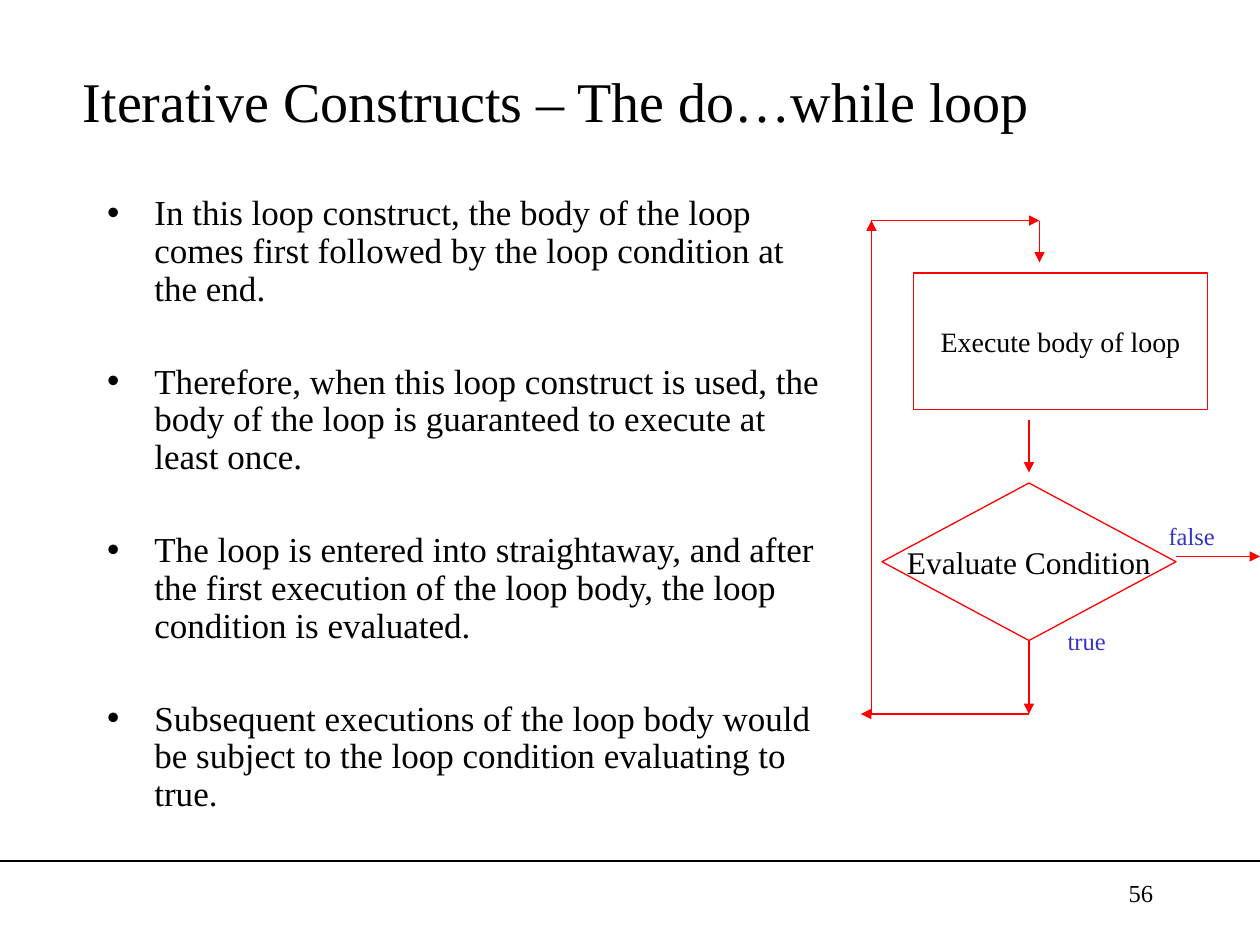
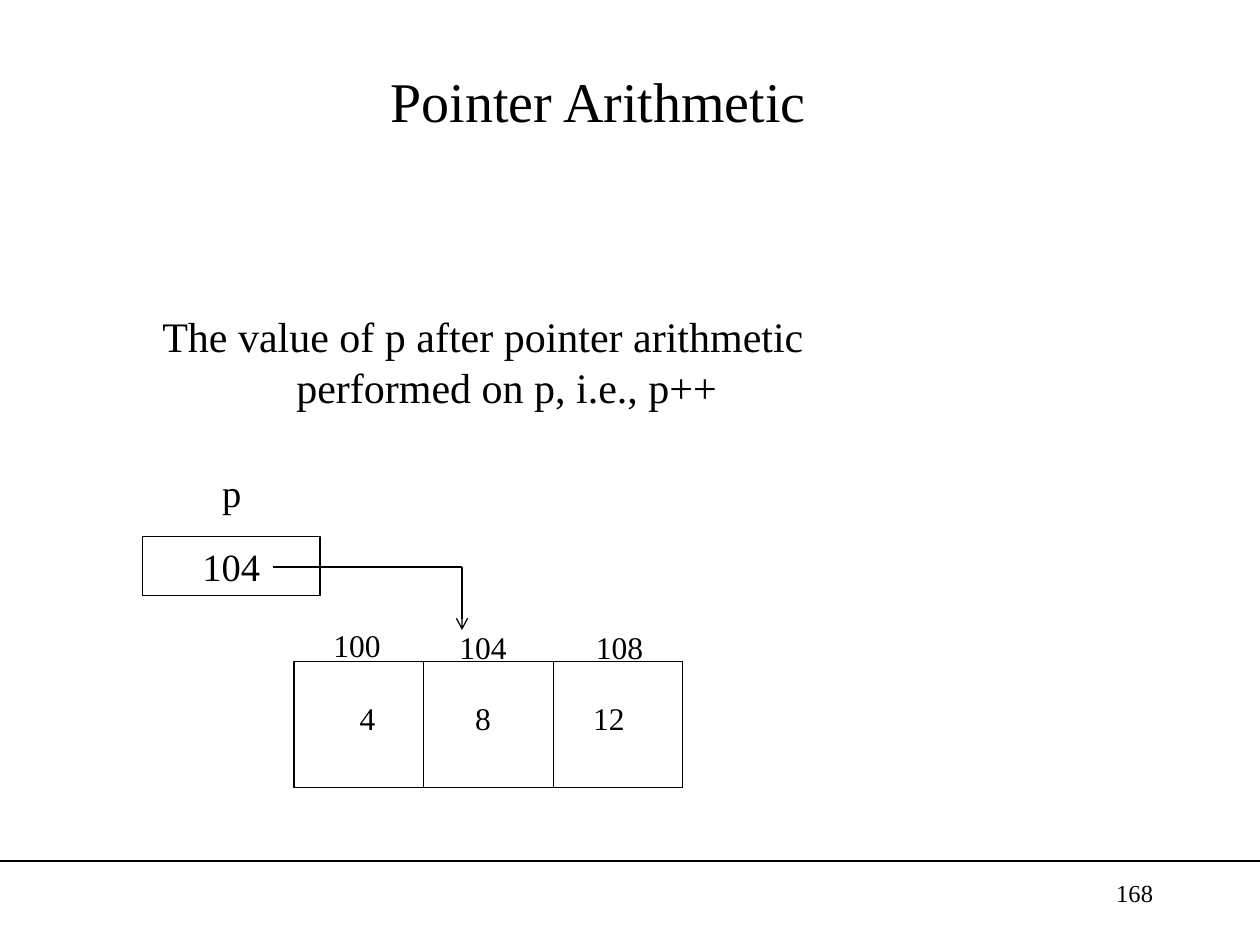
from dataclasses import dataclass

import lxml.etree
import pptx
import pptx.dml.color
import pptx.enum.shapes
import pptx.enum.text
import pptx.oxml.ns
import pptx.util

Pt = pptx.util.Pt
BLACK = pptx.dml.color.RGBColor(0x00, 0x00, 0x00)
RED = pptx.dml.color.RGBColor(0xFF, 0x00, 0x00)
BLUE = pptx.dml.color.RGBColor(0x33, 0x33, 0xCC)
FONT = "Times New Roman"
ALIGN = pptx.enum.text.PP_ALIGN
ANCHOR = pptx.enum.text.MSO_ANCHOR
SHAPES = pptx.enum.shapes.MSO_SHAPE
TITLE_AND_BODY, TITLE_ONLY = 1, 5


@dataclass
class Area:
    left: float
    top: float
    width: float
    height: float

    def lengths(self) -> tuple:
        return Pt(self.left), Pt(self.top), Pt(self.width), Pt(self.height)


@dataclass
class Label:
    text: str
    area: Area
    size: float = 18
    color: pptx.dml.color.RGBColor = BLACK
    anchor: ANCHOR = ANCHOR.MIDDLE
    align: ALIGN = ALIGN.CENTER
    wrap: bool = True


@dataclass
class Node:
    label: Label
    kind: SHAPES
    line_color: pptx.dml.color.RGBColor


@dataclass
class Arrow:
    start: tuple[float, float]
    end: tuple[float, float]
    color: pptx.dml.color.RGBColor = RED
    head: str = "triangle"


def add_child(parent, tag: str, **attributes: str):
    child = lxml.etree.SubElement(parent, pptx.oxml.ns.qn(tag))
    for name, value in attributes.items():
        child.set(name, value)
    return child


def write(para, text: str, size: float, color=BLACK) -> None:
    span = para.add_run()
    span.text = text
    span.font.size = Pt(size)
    span.font.name = FONT
    span.font.color.rgb = color


def fill_label(box, label: Label):
    frame = box.text_frame
    frame.word_wrap = label.wrap
    frame.vertical_anchor = label.anchor
    para = frame.paragraphs[0]
    para.alignment = label.align
    write(para, label.text, label.size, label.color)
    return para


def draw_label(page, label: Label):
    return fill_label(page.shapes.add_textbox(*label.area.lengths()), label)


def draw_node(page, node: Node):
    box = page.shapes.add_shape(node.kind, *node.label.area.lengths())
    box.shadow.inherit = False
    box.fill.background()
    box.line.color.rgb = node.line_color
    box.line.width = Pt(0.75)
    fill_label(box, node.label)
    return box


def draw_arrow(page, arrow: Arrow):
    line = page.shapes.add_connector(
        pptx.enum.shapes.MSO_CONNECTOR.STRAIGHT,
        *(Pt(value) for value in arrow.start + arrow.end),
    )
    line.line.color.rgb = arrow.color
    line.line.width = Pt(0.75)
    properties = line.element.spPr
    if arrow.head:
        add_child(properties.find(pptx.oxml.ns.qn("a:ln")), "a:tailEnd", type=arrow.head)
    add_child(properties, "a:effectLst")
    return line


def place(box, area: Area):
    box.left, box.top, box.width, box.height = area.lengths()
    frame = box.text_frame
    frame.auto_size = pptx.enum.text.MSO_AUTO_SIZE.NONE
    return frame


def add_page(deck, layout: int, title: str, title_left: float, number: int):
    page = deck.slides.add_slide(deck.slide_layouts[layout])
    frame = place(page.shapes.title, Area(title_left, 18, 612, 78))
    frame.vertical_anchor = ANCHOR.MIDDLE
    frame.paragraphs[0].alignment = ALIGN.CENTER
    write(frame.paragraphs[0], title, 32)
    draw_label(page, Label(str(number), Area(516, 498, 150, 36), 14,
                           anchor=ANCHOR.TOP, align=ALIGN.RIGHT))
    return page


def add_footer_rule(deck, page) -> None:
    rule = draw_arrow(page, Arrow((0, 492), (720, 492), BLACK, ""))
    deck.slide_master.shapes.element.append(rule.element)


def write_bullets(page, area: Area, points: list[str]) -> None:
    frame = place(page.placeholders[1], area)
    for index, point in enumerate(points):
        para = frame.add_paragraph() if index else frame.paragraphs[0]
        para.line_spacing = 0.9
        para.space_before = Pt(31.5 if index else 0)
        write(para, point, 20)


def build_loop_page(deck) -> None:
    page = add_page(deck, TITLE_AND_BODY, "Iterative Constructs – The do…while loop", 12, 56)
    add_footer_rule(deck, page)
    write_bullets(page, Area(54, 108, 426, 372), [
        "In this loop construct, the body of the loop comes first followed by "
        "the loop condition at the end.",
        "Therefore, when this loop construct is used, the body of the loop is "
        "guaranteed to execute at least once.",
        "The loop is entered into straightaway, and after the first execution "
        "of the loop body, the loop condition is evaluated.",
        "Subsequent executions of the loop body would be subject to the loop "
        "condition evaluating to true.",
    ])
    condition = draw_node(page, Node(
        Label("Evaluate Condition", Area(504, 276, 168, 90), wrap=False), SHAPES.DIAMOND, RED))
    draw_node(page, Node(
        Label("Execute body of loop", Area(522, 156, 168, 78), 16, wrap=False),
        SHAPES.RECTANGLE, RED))

    center, entry, back, top, bottom = 588, 594, 498, 126, 408
    true_branch = draw_arrow(page, Arrow((center, 366), (center, bottom)))
    true_branch.begin_connect(condition, 2)
    for arrow in (
        Arrow((center, 240), (center, 270)),
        Arrow((entry, top), (entry, 150)),
        Arrow((center, bottom), (back - 6, bottom)),
        Arrow((back, bottom), (back, top)),
        Arrow((back, top), (entry, top)),
        Arrow((672, 318), (720, 318)),
    ):
        draw_arrow(page, arrow)
    for text, left, label_top in (("true", 588, 354), ("false", 648, 294)):
        draw_label(page, Label(text, Area(left, label_top, 66, 24.5), 14, BLUE, ANCHOR.TOP))


def set_borders(cell, left: float, right: float, top: float, bottom: float) -> None:
    properties = cell._tc.get_or_add_tcPr()
    sides = zip(("a:lnL", "a:lnR", "a:lnT", "a:lnB"), (left, right, top, bottom))
    for index, (tag, width) in enumerate(sides):
        border = add_child(properties, tag, w=str(Pt(width)))
        add_child(add_child(border, "a:solidFill"), "a:srgbClr", val=str(BLACK))
        properties.insert(index, border)


def draw_array(page, area: Area, count: int) -> None:
    table = page.shapes.add_table(1, count, *area.lengths()).table
    table.first_row = False
    table.horz_banding = False
    outer, inner = 1.08, 0.45
    for index, cell in enumerate(table.iter_cells()):
        cell.fill.background()
        left = inner if index else outer
        right = outer if index == count - 1 else inner
        set_borders(cell, left, right, outer, outer)


def build_pointer_page(deck) -> None:
    page = add_page(deck, TITLE_ONLY, "Pointer Arithmetic", 36, 168)
    draw_array(page, Area(168, 378, 222, 72), 3)
    draw_node(page, Node(
        Label("104", Area(81.4, 306.7, 101.5, 33.8), 22, wrap=False), SHAPES.RECTANGLE, BLACK))
    draw_label(page, Label("p", Area(92.9, 264.2, 79.2, 33.8), 22, wrap=False))
    for text, left, top in (
        ("100", 180, 354), ("104", 252, 355), ("108", 330, 355),
        ("4", 186, 396), ("8", 252, 396), ("12", 324, 396),
    ):
        draw_label(page, Label(text, Area(left, top, 48, 28.8)))
    caption = draw_label(page, Label(
        "The value of p after pointer arithmetic performed on p, i.e., p++",
        Area(78, 174, 396, 64.8), 24, anchor=ANCHOR.TOP))
    hanging = caption._p.get_or_add_pPr()
    hanging.set("marL", str(Pt(27)))
    hanging.set("indent", str(-Pt(27)))
    corner = (264, 324)
    draw_arrow(page, Arrow((156, 324), corner, BLACK, ""))
    draw_arrow(page, Arrow(corner, (264, 360), BLACK, "arrow"))


def main() -> None:
    deck = pptx.Presentation()
    deck.slide_width, deck.slide_height = Pt(720), Pt(540)
    build_loop_page(deck)
    build_pointer_page(deck)
    deck.save("out.pptx")


if __name__ == "__main__":
    main()
